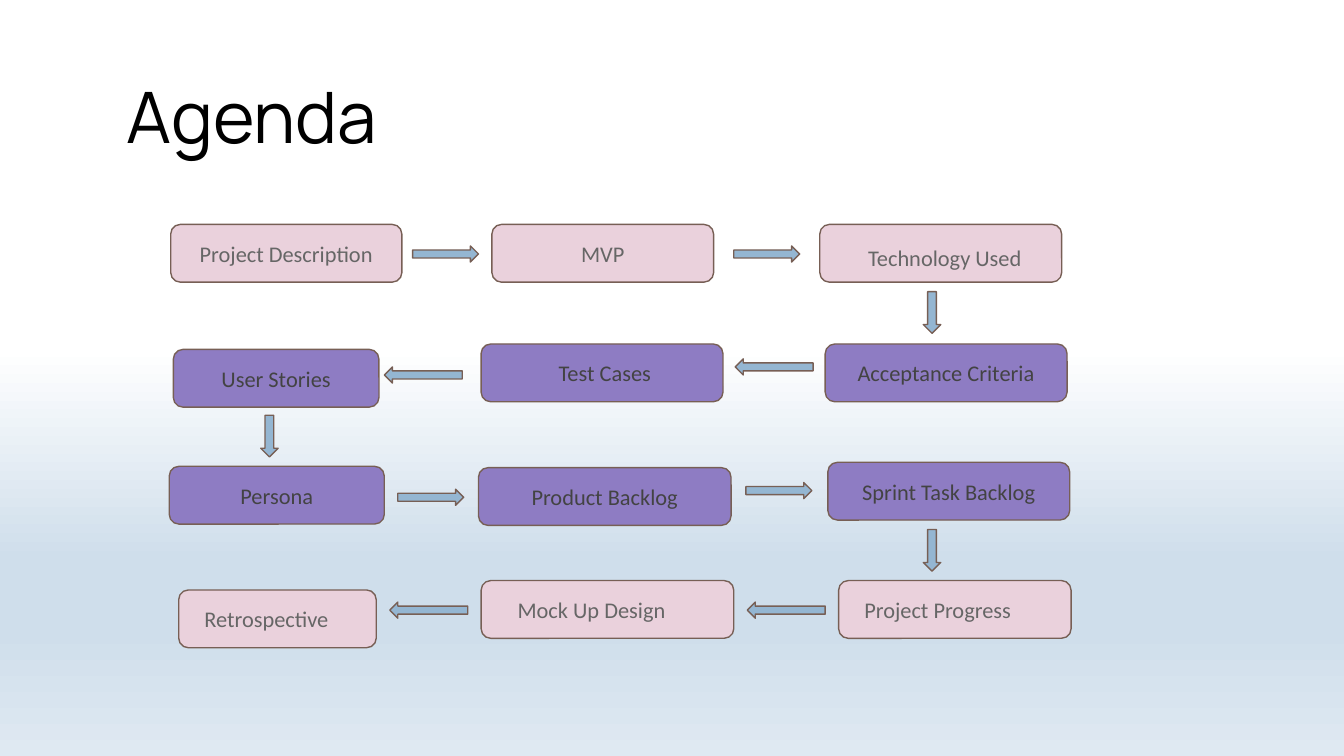
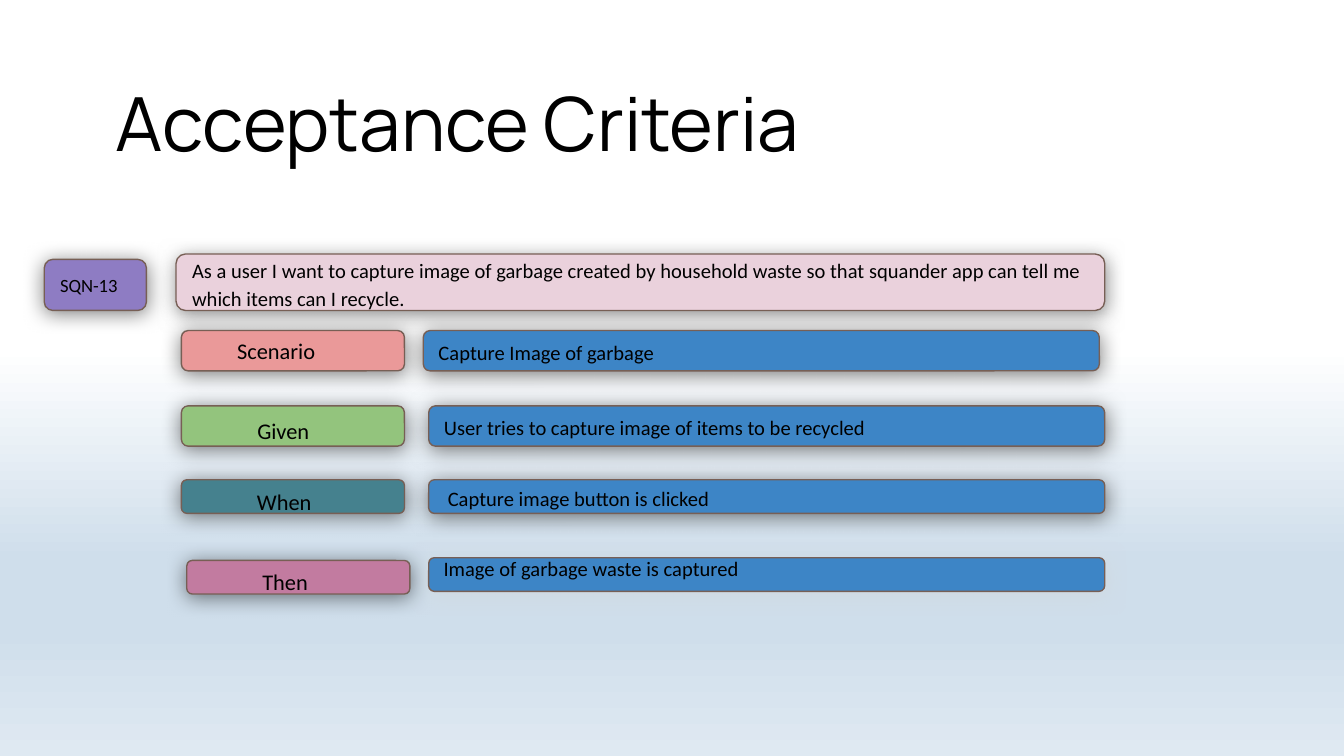
from lxml.etree import SubElement as Sub
from pptx import Presentation
from pptx.dml.color import RGBColor
from pptx.enum.shapes import MSO_SHAPE as Form
from pptx.enum.text import MSO_ANCHOR as Anchor, MSO_AUTO_SIZE as Auto, PP_ALIGN as Align
from pptx.oxml.ns import qn
from pptx.util import Inches, Pt

# Shared colours and sizes
PINK, PURPLE, BLUE, SKY = "EAD1DC", "8E7CC3", "3D85C6", "94B6D2"
EDGE, BLACK, GREY, DARK = "775F55", "000000", "666666", "434343"
STOPS = [(46, "FFFFFF"), (74, "CFDEEB"), (83, "CFDEEB"), (100, "DFE9F2")]
WIDTH = Inches(10)
HEIGHT = WIDTH * 9 // 16
PAD = 0.1
BOX_H = 0.43

# Arrow direction: preset, width, height
ARROWS = {
    "right": (Form.RIGHT_ARROW, 0.49, 0.12),
    "left": (Form.LEFT_ARROW, 0.58, 0.12),
    "down": (Form.DOWN_ARROW, 0.13, 0.31),
}


def rgb(code):
    return RGBColor.from_string(code)


def write(shape, text, size=12, color=BLACK, font="Calibri", align=Align.LEFT,
          anchor=Anchor.MIDDLE, space=1.0, left=PAD, top=PAD, base=PAD):
    frame = shape.text_frame
    frame.word_wrap = True
    frame.auto_size = Auto.NONE
    frame.vertical_anchor = anchor
    frame.margin_left, frame.margin_right = Inches(left), Inches(PAD)
    frame.margin_top, frame.margin_bottom = Inches(top), Inches(base)
    para = frame.paragraphs[0]
    para.alignment, para.line_spacing = align, space
    run = para.add_run()
    run.text = text
    run.font.name, run.font.size = font, Pt(size)
    run.font.color.rgb = rgb(color)


def draw(slide, form, x, y, w, h, fill):
    shape = slide.shapes.add_shape(form, Inches(x), Inches(y), Inches(w), Inches(h))
    shape.shadow.inherit = False
    shape.fill.solid()
    shape.fill.fore_color.rgb = rgb(fill)
    shape.line.color.rgb = rgb(EDGE)
    shape.line.width = Pt(0.75)
    return shape


def box(slide, x, y, w, h, fill, text, **style):
    shape = draw(slide, Form.ROUNDED_RECTANGLE, x, y, w, h, fill)
    write(shape, text, **style)
    return shape


def arrow(slide, way, x, y):
    form, w, h = ARROWS[way]
    draw(slide, form, x, y, w, h, SKY)


def shade(shape, color=BLACK, alpha=50, blur=11.2):
    effect = shape.element.spPr.find(qn("a:effectLst"))
    outer = Sub(effect, qn("a:outerShdw"), blurRad=str(Pt(blur)), dist=str(Pt(1.5)),
                dir="5400000", algn="bl", rotWithShape="0")
    tint = Sub(outer, qn("a:srgbClr"), val=color)
    Sub(tint, qn("a:alpha"), val=str(alpha * 1000))


def paint(master):
    """Give all slides the same gradient."""
    fill = master.background.fill
    fill.gradient()
    fill.gradient_angle = 270
    stops = master.element.find(".//" + qn("p:bg")).find(".//" + qn("a:gsLst"))
    for old in list(stops):
        stops.remove(old)
    for place, color in STOPS:
        stop = Sub(stops, qn("a:gs"), pos=str(place * 1000))
        Sub(stop, qn("a:srgbClr"), val=color)


def start(deck, text, x, y, w, h, size, **style):
    """Add a slide with its title."""
    slide = deck.slides.add_slide(deck.slide_layouts[5])
    title = slide.shapes.title
    title.left, title.top = Inches(x), Inches(y)
    title.width, title.height = Inches(w), Inches(h)
    write(title, text, size=size, font="Manrope", anchor=Anchor.TOP, space=0.9, **style)
    return slide


def agenda(deck):
    slide = start(deck, "Agenda", 0.84, 0.51, 7.63, 0.95, 38)

    # Steps: text, left, top, width, format
    mid = {"align": Align.CENTER}
    outer = [
        ("Project Description", 1.27, 1.67, 1.72, mid),
        ("MVP", 3.66, 1.67, 1.65, mid),
        ("Technology Used", 6.1, 1.67, 1.8, {**mid, "left": 0.16, "base": 0.04}),
        ("Project Progress", 6.24, 4.32, 1.73, {"left": 0.17}),
        ("Mock Up Design", 3.58, 4.32, 1.88, {"left": 0.25}),
        ("Retrospective", 1.33, 4.39, 1.47, {"left": 0.17}),
    ]
    inner = [
        ("Acceptance Criteria", 6.14, 2.56, 1.8, mid),
        ("Test Cases", 3.58, 2.56, 1.8, {**mid, "left": 0.14}),
        ("User Stories", 1.29, 2.6, 1.53, mid),
        ("Persona", 1.26, 3.47, 1.6, mid),
        ("Product Backlog", 3.56, 3.48, 1.88, mid),
        ("Sprint Task Backlog", 6.16, 3.44, 1.8, mid),
    ]
    for steps, fill, color in ((outer, PINK, GREY), (inner, PURPLE, DARK)):
        for text, x, y, w, style in steps:
            box(slide, x, y, w, BOX_H, fill, text, color=color, **style)

    # Arrows along the path
    paths = {
        "right": [(3.07, 1.83), (5.46, 1.83), (2.96, 3.64), (5.55, 3.59)],
        "left": [(5.47, 2.67), (2.86, 2.73), (5.56, 4.48), (2.9, 4.48)],
        "down": [(6.87, 2.17), (1.94, 3.09), (6.87, 3.94)],
    }
    for way, spots in paths.items():
        for x, y in spots:
            arrow(slide, way, x, y)


def criteria(deck):
    slide = start(deck, "Acceptance Criteria", 0.33, 0.5, 10.06, 0.92, 40,
                  left=0.53, top=0.15)

    # User story and its number
    story = box(slide, 1.31, 1.89, 6.91, 0.42, PINK,
                "As a user I want to capture image of garbage created by household "
                "waste so that squander app can tell me which items can I recycle.",
                size=11, space=1.15)
    shade(story, GREY, 74, 10.1)
    shade(box(slide, 0.33, 1.93, 0.76, 0.38, PURPLE, "SQN-13", size=10))

    # Labels: text, left, top, height, fill, format
    low = {"left": 0.55, "base": 0.03}
    labels = [
        ("Scenario", 1.35, 2.46, 0.3, "EA9999", {"left": 0.4}),
        ("Given", 1.35, 3.02, 0.3, "93C47D", low),
        ("When", 1.35, 3.57, 0.25, "45818E", low),
        ("Then", 1.39, 4.17, 0.25, "C27BA0", low),
    ]
    for text, x, y, h, fill, style in labels:
        shade(box(slide, x, y, 1.66, h, fill, text, **style))

    # Details: text, left, top, height, shadow, format
    details = [
        ("Capture Image of garbage", 3.15, 2.46, 0.3, BLACK, {}),
        ("User tries to capture image of items to be recycled", 3.19, 3.02, 0.3, BLACK, {}),
        ("Capture image button is clicked", 3.19, 3.57, 0.25, BLACK, {"left": 0.13}),
        ("Image of garbage waste is captured", 3.19, 4.15, 0.25, "D5D5D5",
         {"top": 0, "base": 0.12}),
    ]
    for text, x, y, h, tint, style in details:
        shade(box(slide, x, y, 5.03, h, BLUE, text, size=11, space=1.15, **style), tint)


def main():
    deck = Presentation()
    deck.slide_width, deck.slide_height = WIDTH, HEIGHT
    paint(deck.slide_master)
    agenda(deck)
    criteria(deck)
    deck.save("out.pptx")


if __name__ == "__main__":
    main()
